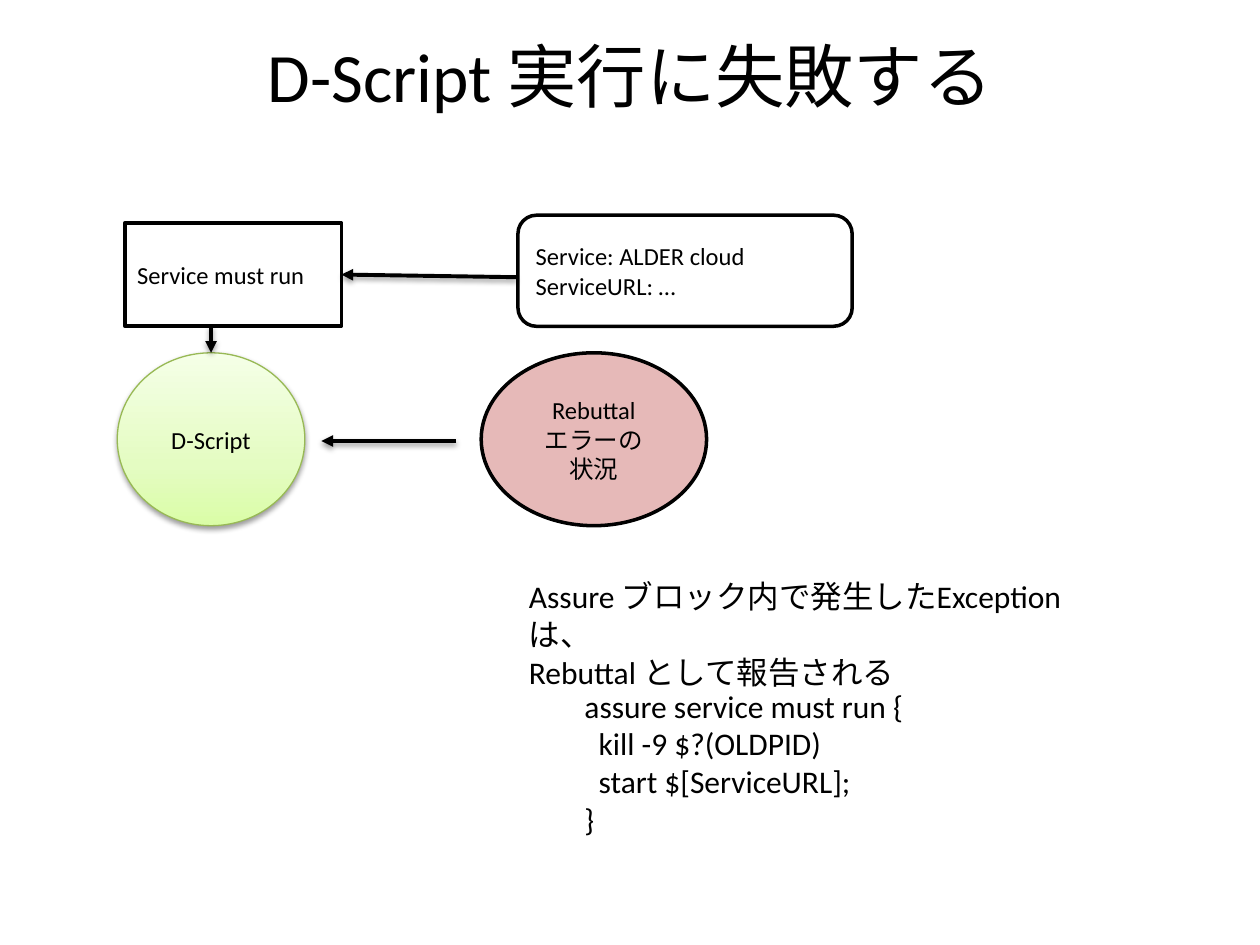
from copy import deepcopy

from lxml import etree
from pptx import Presentation
from pptx.dml.color import RGBColor
from pptx.enum.shapes import MSO_CONNECTOR, MSO_SHAPE
from pptx.enum.text import MSO_ANCHOR, PP_ALIGN
from pptx.oxml.ns import qn
from pptx.util import Pt

RECTANGLE, ROUNDED, OVAL = MSO_SHAPE.RECTANGLE, MSO_SHAPE.ROUNDED_RECTANGLE, MSO_SHAPE.OVAL
STRAIGHT = MSO_CONNECTOR.STRAIGHT
LEFT, CENTER = PP_ALIGN.LEFT, PP_ALIGN.CENTER
TOP, MIDDLE = MSO_ANCHOR.TOP, MSO_ANCHOR.MIDDLE

THEME = {
    "font": "Calibri",
    "ink": RGBColor(0x00, 0x00, 0x00),
    "paper": RGBColor(0xFF, 0xFF, 0xFF),
    "rebuttal": RGBColor(0xE6, 0xB9, 0xB8),
    "script_line": RGBColor(0x98, 0xB9, 0x55),
    "script_stops": [(0, "DAFDA7"), (0.35, "E4FCC2"), (1, "F5FFE7")],
    "title_size": Pt(39.6),
    "body_size": Pt(18),
    "node_size": Pt(14),
}


def write_text(shape, lines, size, align, anchor):
    frame = shape.text_frame
    frame.word_wrap = True
    frame.vertical_anchor = anchor
    frame.text = "\n".join(lines)
    text_format = {"name": THEME["font"], "size": size}
    for para in frame.paragraphs:
        para.alignment = align
        for span in para.runs:
            for key, value in text_format.items():
                setattr(span.font, key, value)
            span.font.color.rgb = THEME["ink"]


def add_soft_shadow(shape):
    """Give the shape a faint black shadow that falls straight down."""
    properties = shape._element.spPr
    effects = properties.find(qn("a:effectLst"))
    if effects is None:
        effects = etree.SubElement(properties, qn("a:effectLst"))
    shadow = etree.SubElement(effects, qn("a:outerShdw"), blurRad=str(Pt(3.1)),
                              dist=str(Pt(1.6)), dir="5400000", rotWithShape="0")
    color = etree.SubElement(shadow, qn("a:srgbClr"), val=str(THEME["ink"]))
    etree.SubElement(color, qn("a:alpha"), val="38000")


deck = Presentation()
deck.slide_width, deck.slide_height = Pt(720), Pt(540)
page = deck.slides.add_slide(deck.slide_layouts[5])

title = page.shapes.title
title.left, title.top, title.width, title.height = Pt(36), Pt(21.6), Pt(648), Pt(42.5)
write_text(title, ["D-Script 実行に失敗する"], THEME["title_size"], CENTER, MIDDLE)

# Nodes: kind, left, top, width, height, fill, line colour, line width, alignment, text
ink, paper = THEME["ink"], THEME["paper"]
node_specs = {
    "goal": (RECTANGLE, 71.3, 127.4, 123.8, 59, paper, ink, 2, LEFT,
             ["Service must run"]),
    "context": (ROUNDED, 296, 123, 191, 63.5, paper, ink, 2, LEFT,
                ["Service: ALDER cloud", "ServiceURL: …"]),
    "script": (OVAL, 67, 201.6, 107.2, 98.8, None, THEME["script_line"], 0.75, CENTER,
               ["D-Script"]),
    "rebuttal": (OVAL, 275, 201.6, 128.8, 98.8, THEME["rebuttal"], ink, 2, CENTER,
                 ["Rebuttal", "エラーの", "状況"]),
}
nodes = {}
for name, (kind, left, top, width, height, fill, line, weight, align, lines) in node_specs.items():
    node = page.shapes.add_shape(kind, Pt(left), Pt(top), Pt(width), Pt(height))
    node.shadow.inherit = False
    if fill is not None:
        node.fill.solid()
        node.fill.fore_color.rgb = fill
    node.line.color.rgb = line
    node.line.width = Pt(weight)
    write_text(node, lines, THEME["node_size"], align, MIDDLE)
    nodes[name] = node

script = nodes["script"]
script.fill.gradient()
script.fill.gradient_angle = 90
first_stop = script._element.spPr.find(".//" + qn("a:gs"))
first_stop.addnext(deepcopy(first_stop))
for stop, (position, color) in zip(script.fill.gradient_stops, THEME["script_stops"]):
    stop.color.rgb = RGBColor.from_string(color)
    stop.position = position
add_soft_shadow(script)

# Arrows: start, end, and the node side that the head joins
arrow_specs = [
    ((295.2, 158.4), (195.1, 156.9), ("goal", 3)),
    ((120.6, 186.4), (120.6, 201.6), ("script", 0)),
    ((260.6, 252), (183.6, 252), None),
]
for start, end, joint in arrow_specs:
    arrow = page.shapes.add_connector(STRAIGHT, *map(Pt, start + end))
    if joint:
        target, side = joint
        arrow.end_connect(nodes[target], side)
    arrow.line.color.rgb = ink
    arrow.line.width = Pt(2.25)
    etree.SubElement(arrow.line._get_or_add_ln(), qn("a:tailEnd"), type="triangle")
    add_soft_shadow(arrow)

notes = [
    (295.2, 326.2, 336.2, 51, ["Assure ブロック内で発生したException は、",
                               "Rebuttal として報告される"]),
    (326.9, 388.8, 198.7, 94.3, ["assure service must run {", "  kill -9 $?(OLDPID)",
                                 "  start $[ServiceURL];", "}"]),
]
for left, top, width, height, lines in notes:
    box = page.shapes.add_textbox(Pt(left), Pt(top), Pt(width), Pt(height))
    write_text(box, lines, THEME["body_size"], LEFT, TOP)

deck.save("out.pptx")
